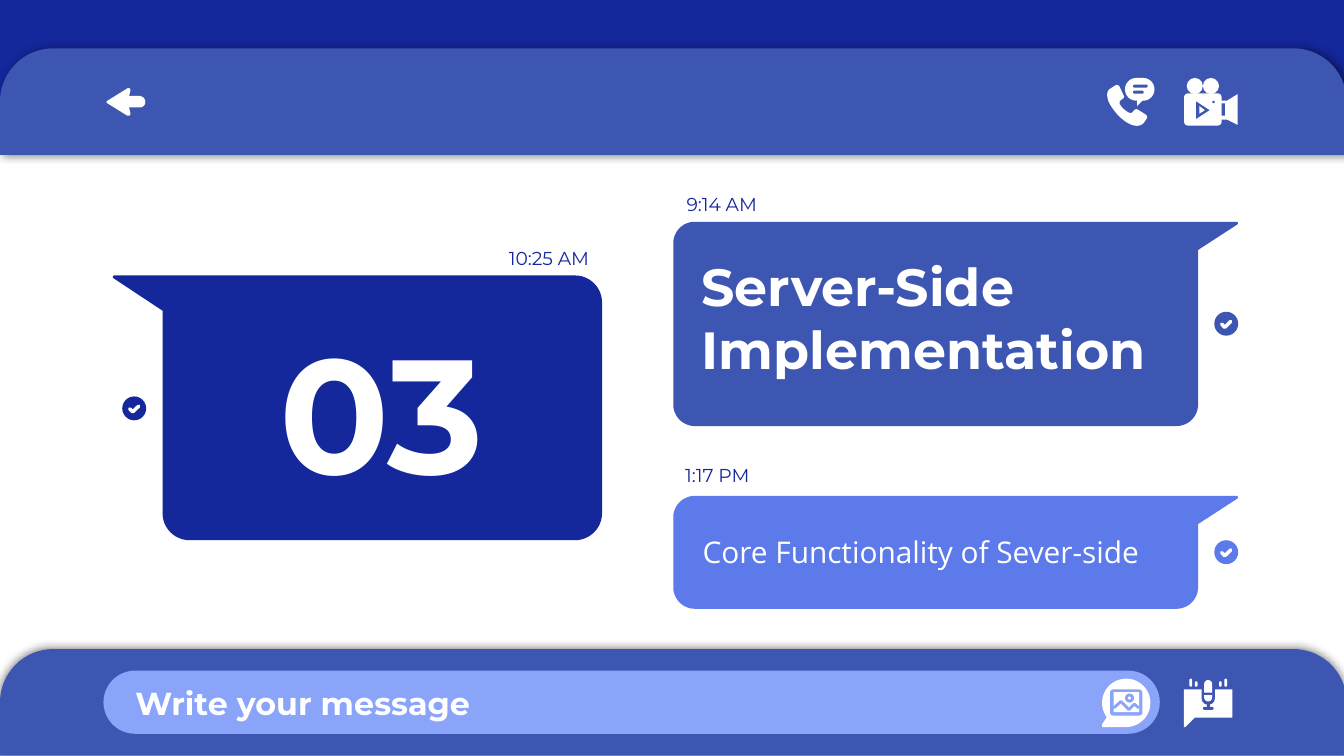
from lxml.etree import SubElement
from pptx import Presentation
from pptx.dml.color import RGBColor
from pptx.enum.shapes import MSO_SHAPE as Preset
from pptx.enum.text import MSO_ANCHOR as Anchor, MSO_AUTO_SIZE as AutoSize, PP_ALIGN as Align
from pptx.oxml.ns import qn
from pptx.util import Inches, Pt

NAVY = RGBColor(0x14, 0x27, 0x9B)
BLUE = RGBColor(0x3D, 0x56, 0xB2)
BRIGHT = RGBColor(0x5C, 0x7A, 0xEA)
PALE = RGBColor(0x8A, 0xA4, 0xF9)
WHITE = RGBColor(0xFF, 0xFF, 0xFF)

CELL = Inches(0.1)  # the slide is a grid of 100 columns by 56.25 rows
COLS, ROWS = 100, 56.25


def cells(*counts):
    return [round(count * CELL) for count in counts]


def write(frame, words, size=10, color=WHITE, font="Montserrat", bold=False,
          align=Align.LEFT, anchor=Anchor.TOP):
    frame.word_wrap = True
    frame.auto_size = AutoSize.NONE
    frame.vertical_anchor = anchor
    frame.margin_left = frame.margin_right = frame.margin_top = frame.margin_bottom = CELL
    paragraph = frame.paragraphs[0]
    paragraph.text = words
    paragraph.alignment = align
    face = paragraph.runs[0].font
    face.name, face.size, face.bold = font, Pt(size), bold
    face.color.rgb = color


def bend(start, curve, steps=12):
    """Points along a cubic curve given as (x1, y1, x2, y2, x, y)."""
    knots = [start, curve[:2], curve[2:4], curve[4:]]
    for t in (step / steps for step in range(1, steps + 1)):
        weights = ((1 - t) ** 3, 3 * t * (1 - t) ** 2, 3 * t * t * (1 - t), t ** 3)
        yield tuple(sum(w * k[axis] for w, k in zip(weights, knots)) for axis in (0, 1))


def corner(start, tip, end, pull=0.55):
    """A quarter-round curve from start to end around the corner tip."""
    controls = [p + pull * (c - p) for point in (start, end) for p, c in zip(point, tip)]
    return (*controls, *end)


class ChatSlide:
    def __init__(self, deck):
        self.slide = deck.slides.add_slide(deck.slide_layouts[5])
        self.shapes = self.slide.shapes

    def paint(self, shape, fill):
        shape.shadow.inherit = False
        shape.fill.solid()
        shape.fill.fore_color.rgb = fill
        shape.line.fill.background()
        return shape

    def block(self, preset, col, row, cols, rows, fill=WHITE, adjust=()):
        shape = self.shapes.add_shape(preset, *cells(col, row, cols, rows))
        for index, value in enumerate(adjust):
            shape.adjustments[index] = value
        return self.paint(shape, fill)

    def pill(self, col, row, cols, rows, fill=WHITE, roundness=0.5):
        return self.block(Preset.ROUNDED_RECTANGLE, col, row, cols, rows, fill, [roundness])

    def disc(self, col, row, size, fill=WHITE):
        return self.block(Preset.OVAL, col, row, size, size, fill)

    def path_of(self, steps, close):
        points = [steps[0]]
        for step in steps[1:]:
            points.extend([step] if len(step) == 2 else bend(points[-1], step))
        start, *rest = [tuple(cells(*point)) for point in points]
        builder = self.shapes.build_freeform(*start)
        builder.add_line_segments(rest, close=close)
        return builder.convert_to_shape()

    def outline(self, *steps, fill=WHITE):
        return self.paint(self.path_of(steps, True), fill)

    def stroke(self, *steps, color=WHITE, width=1.9):
        shape = self.path_of(steps, False)
        shape.shadow.inherit = False
        shape.fill.background()
        shape.line.color.rgb = color
        shape.line.width = Pt(width)
        shape.element.spPr.find(qn("a:ln")).set("cap", "rnd")

    def panel(self, row, direction):
        bar = self.block(Preset.ROUND_2_SAME_RECTANGLE, 0, row, COLS + 0.2, 7.93, BLUE, [0.5, 0])
        effects = bar.element.spPr.find(qn("a:effectLst"))
        shadow = SubElement(effects, qn("a:outerShdw"), blurRad=str(Pt(4.5)), dist=str(Pt(1.5)),
                            dir=str(direction * 60000), algn="bl", rotWithShape="0")
        tint = SubElement(shadow, qn("a:srgbClr"), val="000000")
        SubElement(tint, qn("a:alpha"), val="50000")

    def bubble(self, near, far, top, bottom, fill, scale=1):
        """A speech bubble whose tail leaves the near side at the top."""
        out = 1 if near > far else -1
        tip, drop, radius = near + out * 2.95 * scale, top + 2.1 * scale, 1.6 * scale
        inner_near, inner_far = near - out * radius, far + out * radius
        self.outline(
            (tip - out * 0.1, top), (tip, top, tip + out * 0.1, top + 0.15, tip - out * 0.1, top + 0.25),
            (near, drop), (near, bottom - radius),
            corner((near, bottom - radius), (near, bottom), (inner_near, bottom)),
            (inner_far, bottom),
            corner((inner_far, bottom), (far, bottom), (far, bottom - radius)),
            (far, top + radius),
            corner((far, top + radius), (far, top), (inner_far, top)), fill=fill)

    def read_mark(self, col, row, fill):
        self.disc(col, row, 1.78, fill)
        self.stroke(*[(col + x, row + y) for x, y in ((0.55, 0.92), (0.78, 1.15), (1.22, 0.72))])

    def text(self, words, col, row, cols, rows, **style):
        box = self.shapes.add_textbox(*cells(col, row, cols, rows))
        write(box.text_frame, words, **style)

    def title(self, words, col, row, cols, rows, **style):
        holder = self.shapes.title
        holder.left, holder.top, holder.width, holder.height = cells(col, row, cols, rows)
        write(holder.text_frame, words, **style)
        holder.element.getparent().append(holder.element)  # in front of its bubble


def draw_call_icons(chat):
    # Back arrow
    chat.outline((8, 7.5), (9.45, 6.6), (9.6, 6.5, 9.75, 6.6, 9.7, 6.8), (9.6, 7.15), (10.4, 7.15),
                 (10.95, 7.2, 10.95, 8, 10.4, 8), (9.6, 8), (9.7, 8.4),
                 (9.75, 8.6, 9.6, 8.65, 9.45, 8.6), (8, 7.7), (7.9, 7.65, 7.9, 7.55, 8, 7.5))
    # Phone with a note
    chat.outline((83, 6.35), (82.6, 6.6), (82.3, 6.8, 82.35, 7.2, 82.5, 7.6),
                 (82.8, 8.2, 83.4, 8.9, 84, 9.2), (84.4, 9.4, 84.8, 9.45, 85.1, 9.15), (85.3, 8.85),
                 (85.4, 8.7, 85.35, 8.6, 85.2, 8.5), (84.65, 8.15), (84.5, 8.1, 84.4, 8.15, 84.35, 8.25),
                 (84.2, 8.4), (84, 8.5, 83.4, 8, 83.3, 7.7), (83.3, 7.6, 83.3, 7.5, 83.4, 7.45),
                 (83.6, 7.3), (83.65, 7.2), (83.3, 6.45), (83.2, 6.3, 83.1, 6.3, 83, 6.35))
    chat.pill(83.7, 5.8, 2.2, 1.7)
    chat.outline((84.6, 7.4), (84.6, 7.9), (85.1, 7.4))
    for row, cols in ((6.3, 1.1), (6.75, 0.8)):
        chat.pill(84.3, row, cols, 0.22, BLUE)
    # Video camera
    for col in (88.3, 89.5):
        chat.disc(col, 5.8, 1.2)
    chat.pill(88.1, 6.95, 2.8, 2.4, roundness=0.12)
    chat.outline((90.8, 7.5), (91.3, 7.5), (92.1, 7), (92.1, 9.3), (91.3, 8.9), (90.8, 8.9))
    chat.block(Preset.RECTANGLE, 90.9, 7.7, 0.25, 0.9, BLUE)
    chat.disc(90.2, 7.5, 0.18, BLUE)
    chat.outline((89, 7.55), (90, 8.2), (89, 8.85), fill=BLUE)
    chat.outline((89.25, 7.9), (89.65, 8.2), (89.25, 8.45))


def draw_message_icons(chat):
    # Picture attachment
    chat.disc(82, 50.5, 3.6)
    chat.outline((82.4, 53.3), (82, 53.9), (82, 54.1), (83.8, 54.1))
    chat.pill(82.6, 51.3, 2.4, 1.95, PALE, 0.12)
    chat.block(Preset.RECTANGLE, 82.85, 51.5, 1.9, 1.5)
    chat.stroke((82.9, 52.65), (83.4, 52.2), (84, 52.8), (84.4, 52.4), (84.7, 52.65),
                color=PALE, width=1.5)
    chat.disc(83.7, 51.6, 0.68, PALE)
    chat.disc(83.93, 51.83, 0.22)
    # Microphone
    chat.outline((88.1, 51.3), (91.7, 51.3), (91.7, 53.4), (88.9, 53.4), (88.2, 54.1), (88.1, 54.1))
    chat.pill(89.4, 50.5, 1, 1.95, BLUE)
    chat.pill(89.6, 50.6, 0.6, 1.6)
    chat.block(Preset.RECTANGLE, 89.6, 51.53, 0.6, 0.18, BLUE)
    chat.block(Preset.RECTANGLE, 89.8, 52.3, 0.22, 0.4, BLUE)
    chat.pill(89.5, 52.6, 0.8, 0.22, BLUE)
    for col, row, rows in ((88.5, 50.5, 0.6), (88.9, 50.7, 0.4), (90.7, 50.7, 0.4), (91.1, 50.5, 0.6)):
        chat.pill(col, row, 0.2, rows)


def main():
    deck = Presentation()
    deck.slide_width, deck.slide_height = cells(COLS, ROWS)
    chat = ChatSlide(deck)

    # Header, footer and message field
    chat.block(Preset.RECTANGLE, 0, -0.1, COLS + 0.2, 10.2, NAVY)
    chat.panel(3.6, direction=0)
    chat.panel(48.3, direction=237)
    chat.pill(7.7, 49.9, 78.6, 4.7, PALE)
    chat.text("Write your message", 9.1, 49.9, 37.3, 4.7, size=17, bold=True)

    # Speech bubbles
    chat.bubble(89.15, 50.1, 36.9, 45.3, BRIGHT)
    chat.bubble(89.15, 50.1, 16.5, 31.7, BLUE)
    chat.bubble(12.1, 44.8, 20.5, 40.2, NAVY, scale=1.25)
    chat.text("03", 12, 23.5, 32.8, 15.2, size=87, bold=True, align=Align.CENTER, anchor=Anchor.BOTTOM)
    chat.title("Server-Side Implementation", 51.2, 18.1, 37.3, 11, size=28, bold=True,
               anchor=Anchor.MIDDLE)
    chat.text("Core Functionality of Sever-side", 51.3, 37.1, 36.5, 7.9, size=16, font="Open Sans",
              anchor=Anchor.MIDDLE)

    # Times and read marks
    for time, col, row, align in (("9:14 AM", 50.1, 13.35, Align.LEFT), ("1:17 PM", 50, 33.5, Align.LEFT),
                                  ("10:25 AM", 36.3, 17.4, Align.RIGHT)):
        chat.text(time, col, row, 8.5, 3.2, color=NAVY, align=align)
    for col, row, fill in ((90.35, 23.2, BLUE), (90.35, 40.2, BRIGHT), (9.1, 29.5, NAVY)):
        chat.read_mark(col, row, fill)

    # Icons
    draw_call_icons(chat)
    draw_message_icons(chat)
    deck.save("out.pptx")


if __name__ == "__main__":
    main()
